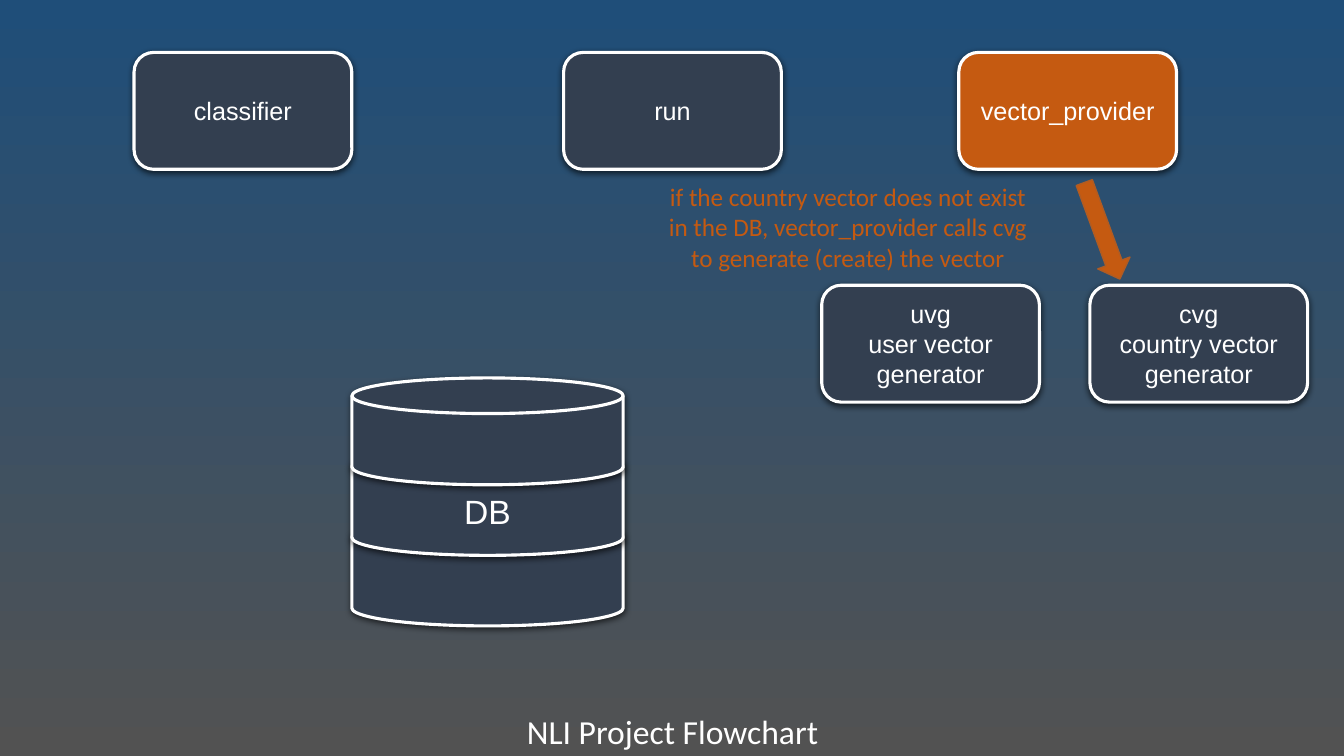
from lxml.etree import SubElement
from pptx import Presentation
from pptx.dml.color import RGBColor
from pptx.enum.shapes import MSO_SHAPE
from pptx.enum.text import MSO_ANCHOR, PP_ALIGN
from pptx.oxml.ns import qn
from pptx.util import Inches, Pt

WHITE = RGBColor(0xFF, 0xFF, 0xFF)
BLACK = RGBColor(0x00, 0x00, 0x00)
SLATE = RGBColor(0x33, 0x3F, 0x50)
ORANGE = RGBColor(0xC5, 0x5A, 0x11)
RUST = RGBColor(0xAF, 0x5C, 0x24)
NAVY = RGBColor(0x1F, 0x4E, 0x79)
GRAY = RGBColor(0x52, 0x52, 0x52)

BOX_W, BOX_H = 2.16, 1.16
TOP_ROW, GENERATOR_ROW = 0.52, 2.83
DISK_X, DISK_Y, DISK_W, DISK_H, DISK_STEP = 3.49, 3.75, 2.69, 1.06, 0.7


class Flowchart:
    shape_font = "Arial"
    text_font = "Calibri"

    def __init__(self, slide):
        self.s = slide

    def background(self, *colors):
        fill = self.s.background.fill
        fill.gradient()
        fill.gradient_angle = 270
        for stop, color in zip(fill.gradient_stops, colors):
            stop.color.rgb = color

    def add_runs(self, tf, text, font, size, color):
        tf.word_wrap = True
        p = tf.paragraphs[0]
        p.alignment = PP_ALIGN.CENTER
        for i, line in enumerate(text.split("\n")):
            if i:
                p.add_line_break()
            r = p.add_run()
            r.text = line
            r.font.name = font
            r.font.size = Pt(size)
            r.font.color.rgb = color

    def text(self, x, y, w, h, text, size, color):
        sp = self.s.shapes.add_textbox(Inches(x), Inches(y), Inches(w), Inches(h))
        self.add_runs(sp.text_frame, text, self.text_font, size, color)

    def shape(self, shapes, kind, x, y, w, h, fill, line, width):
        sp = shapes.add_shape(kind, Inches(x), Inches(y), Inches(w), Inches(h))
        sp.fill.solid()
        sp.fill.fore_color.rgb = fill
        sp.line.color.rgb = line
        sp.line.width = Pt(width)
        sp.shadow.inherit = False
        return sp

    def raised(self, shapes, kind, x, y, w, h, fill, text, size):
        sp = self.shape(shapes, kind, x, y, w, h, fill, WHITE, 2.25)
        effects = sp._element.spPr.find(qn("a:effectLst"))
        shadow = SubElement(effects, qn("a:outerShdw"), blurRad=str(Pt(4.5)),
                            dist=str(Pt(1.5)), dir="5400000", rotWithShape="0")
        color = SubElement(shadow, qn("a:srgbClr"), val=str(BLACK))
        SubElement(color, qn("a:alpha"), val="63000")
        if text:
            sp.text_frame.vertical_anchor = MSO_ANCHOR.MIDDLE
            self.add_runs(sp.text_frame, text, self.shape_font, size, WHITE)

    def box(self, x, y, text, fill=SLATE):
        self.raised(self.s.shapes, MSO_SHAPE.ROUNDED_RECTANGLE,
                    x, y, BOX_W, BOX_H, fill, text, 18)

    def database(self, labels):
        group = self.s.shapes.add_group_shape()
        for i, label in reversed(list(enumerate(labels))):
            self.raised(group.shapes, MSO_SHAPE.FLOWCHART_MAGNETIC_DISK,
                        DISK_X, DISK_Y + i * DISK_STEP, DISK_W, DISK_H,
                        SLATE, label, 24)

    def arrow(self, x, y, w, h, angle):
        sp = self.shape(self.s.shapes, MSO_SHAPE.RIGHT_ARROW,
                        x, y, w, h, ORANGE, RUST, 1)
        sp.rotation = angle


def main():
    prs = Presentation()
    prs.slide_width, prs.slide_height = Inches(13.33), Inches(7.5)
    chart = Flowchart(prs.slides.add_slide(prs.slide_layouts[6]))
    chart.background(NAVY, GRAY)
    chart.text(5.01, 7, 3.32, 0.5, "NLI Project Flowchart", 24, WHITE)
    chart.box(5.59, TOP_ROW, "run")
    chart.box(9.51, TOP_ROW, "vector_provider", ORANGE)
    chart.box(10.81, GENERATOR_ROW, "cvg\ncountry vector generator")
    chart.box(8.15, GENERATOR_ROW, "uvg\nuser vector generator")
    chart.database(["", "DB", ""])
    chart.box(1.33, TOP_ROW, "classifier")
    chart.text(6.51, 1.75, 3.8, 1.01,
               "if the country vector does not exist in the DB, "
               "vector_provider calls cvg to generate (create) the vector",
               18, ORANGE)
    chart.arrow(10.42, 2.12, 1.02, 0.34, 69.8)
    prs.save("out.pptx")


if __name__ == "__main__":
    main()
